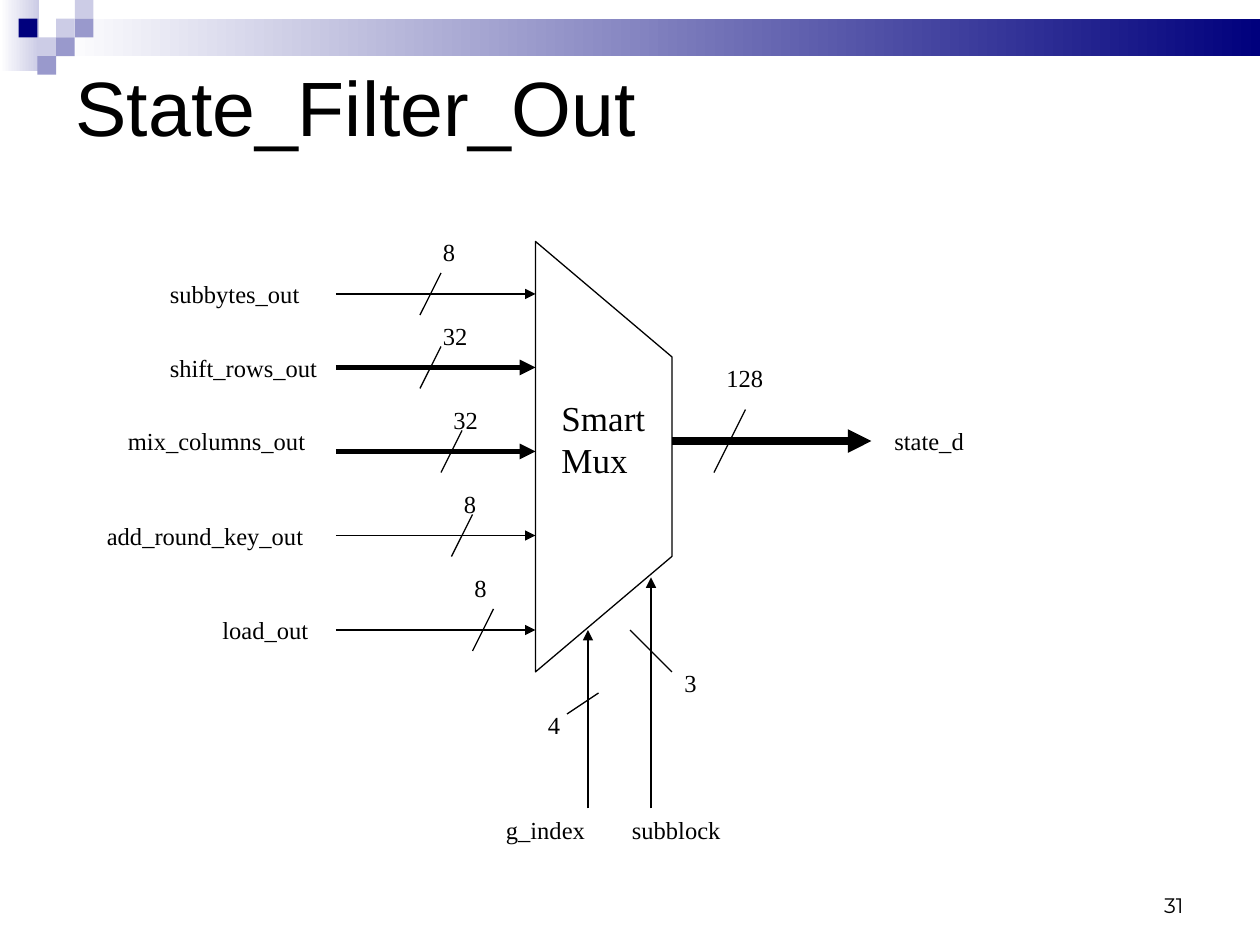
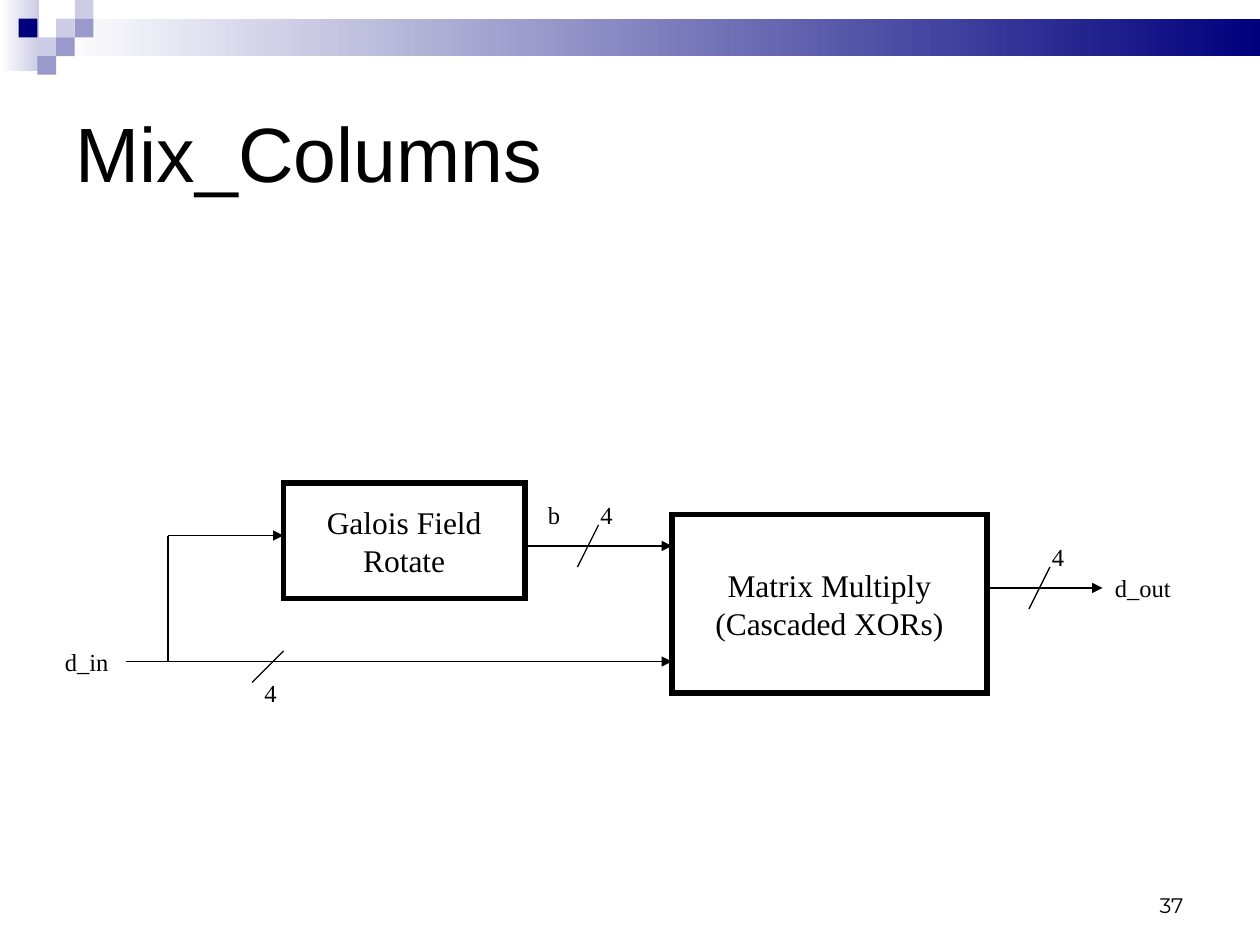
"""Build two block diagrams: the state filter mux and the mix columns datapath."""
from lxml import etree
from pptx import Presentation
from pptx import util as u
from pptx.dml.color import RGBColor
from pptx.enum import shapes, text
from pptx.oxml.ns import qn

BLACK = RGBColor(0x00, 0x00, 0x00)
WHITE = RGBColor(0xFF, 0xFF, 0xFF)
NAVY = RGBColor(0x00, 0x00, 0x7D)
LILAC = RGBColor(0x99, 0x99, 0xCC)
PALE = RGBColor(0xCC, 0xCC, 0xE6)

TITLE_FONT = "Arial"
DIAGRAM_FONT = "Times New Roman"
NUMBER_FONT = "Montserrat"

COLUMNS, ROWS = 120, 90
CELL = u.Inches(10) / COLUMNS
TILE = 1.78
THIN, THICK, HEAVY = 0.75, 3, 4.5

TILES = [(3, 1, PALE), (4, 0, PALE), (4, 1, LILAC), (2, 2, PALE),
         (1, 1, NAVY), (3, 2, LILAC), (2, 3, LILAC)]

MUX_LEFT, MUX_RIGHT = 51, 64
MUX_CORNERS = [(MUX_LEFT, 23), (MUX_RIGHT, 34), (MUX_RIGHT, 53), (MUX_LEFT, 64)]
INPUT_START, INPUT_LABEL_END = 32, 33
MUX_INPUTS = [
    ("subbytes_out", (15, 26), 28, THIN, 41, "8", (41, 22)),
    ("shift_rows_out", (15, 33), 35, THICK, 41, "32", (41, 30)),
    ("mix_columns_out", (11, 40), 43, THICK, 43, "32", (42, 38)),
    ("add_round_key_out", (9, 49), 51, THIN, 44, "8", (43, 46)),
    ("load_out", (20, 58), 60, THIN, 46, "8", (44, 54)),
]


def grid(*cells):
    """Turn grid cells into lengths."""
    return [u.Emu(round(cell * CELL)) for cell in cells]


def format_text(frame, size, font=DIAGRAM_FONT, alignment=text.PP_ALIGN.LEFT):
    """Give every paragraph of a frame one font, size and alignment."""
    for paragraph in frame.paragraphs:
        paragraph.alignment = alignment
        for run in paragraph.runs:
            run.font.name = font
            run.font.size = u.Pt(size)
            run.font.color.rgb = BLACK


def add_panel(slide, box, color, fade=False):
    """Add a borderless rectangle, optionally fading to white on its left."""
    panel = slide.shapes.add_shape(shapes.MSO_SHAPE.RECTANGLE, *grid(*box))
    panel.shadow.inherit = False
    panel.line.fill.background()
    if fade:
        panel.fill.gradient()
        panel.fill.gradient_angle = 180
        for stop, stop_color in zip(panel.fill.gradient_stops, (color, WHITE)):
            stop.color.rgb = stop_color
    else:
        panel.fill.solid()
        panel.fill.fore_color.rgb = color
    return panel


def decorate_layout(layout, slide):
    """Draw the band and tiles and move them behind everything on the layout."""
    panels = [add_panel(slide, (0, 0, 3.7, 6.8), PALE, fade=True),
              add_panel(slide, (5.4, 1.8, COLUMNS - 5.4, 3.55), NAVY, fade=True)]
    panels += [add_panel(slide, (column * TILE, row * TILE, TILE, TILE), color)
               for column, row, color in TILES]
    for index, panel in enumerate(panels):
        panel.element.xpath(".//p:cNvPr")[0].set("id", str(100 + index))
        layout.shapes.element.insert(2 + index, panel.element)


def set_title(slide, title, top):
    """Fill and place the title placeholder."""
    shape = slide.shapes.title
    shape.left, shape.top, shape.width, shape.height = grid(6, top, 108, 15)
    frame = shape.text_frame
    frame.text = title
    frame.auto_size = text.MSO_AUTO_SIZE.NONE
    frame.vertical_anchor = text.MSO_ANCHOR.MIDDLE
    frame.paragraphs[0].line_spacing = 0.71
    format_text(frame, 44, TITLE_FONT)


def add_label(slide, words, place, width=5, height=4, size=14):
    """Add a text box with its top left corner on the grid."""
    label = slide.shapes.add_textbox(*grid(*place, width, height))
    frame = label.text_frame
    frame.text = words
    frame.word_wrap = True
    frame.auto_size = text.MSO_AUTO_SIZE.SHAPE_TO_FIT_TEXT
    format_text(frame, size)
    return label


def add_page_number(slide, number):
    """Add the page number at the lower right."""
    frame = add_label(slide, number, (86, 84), 27.9).text_frame
    frame.vertical_anchor = text.MSO_ANCHOR.BOTTOM
    format_text(frame, 12, NUMBER_FONT, text.PP_ALIGN.RIGHT)


def add_line(slide, start, end, weight=THIN, arrow=False):
    """Add a straight black line, optionally with an arrowhead at its end."""
    line = slide.shapes.add_connector(
        shapes.MSO_CONNECTOR.STRAIGHT, *grid(*start, *end))
    line.line.color.rgb = BLACK
    line.line.width = u.Pt(weight)
    if arrow:
        etree.SubElement(line.get_or_add_ln(), qn("a:tailEnd"), type="triangle")
    etree.SubElement(line.element.spPr, qn("a:effectLst"))


def add_slash(slide, center, reach=(1, 2)):
    """Add the bus width stroke across a wire."""
    (x, y), (dx, dy) = center, reach
    add_line(slide, (x + dx, y - dy), (x - dx, y + dy))


def add_block(slide, words, box):
    """Add a heavy-bordered block with centred text."""
    block = slide.shapes.add_shape(shapes.MSO_SHAPE.RECTANGLE, *grid(*box))
    block.shadow.inherit = False
    block.fill.solid()
    block.fill.fore_color.rgb = WHITE
    block.line.color.rgb = BLACK
    block.line.width = u.Pt(THICK)
    etree.SubElement(block.get_or_add_ln(), qn("a:miter"), lim="800000")
    frame = block.text_frame
    frame.text = words
    frame.word_wrap = False
    frame.vertical_anchor = text.MSO_ANCHOR.MIDDLE
    format_text(frame, 18, alignment=text.PP_ALIGN.CENTER)


def add_mux(slide):
    """Add the mux outline and its name."""
    builder = slide.shapes.build_freeform(*MUX_CORNERS[0], scale=CELL)
    builder.add_line_segments(MUX_CORNERS[1:], close=True)
    mux = builder.convert_to_shape()
    mux.shadow.inherit = False
    mux.fill.background()
    mux.line.color.rgb = BLACK
    mux.line.width = u.Pt(THIN)
    add_label(slide, "Smart\nMux", (52.3, 37.2), 11.5, 9.2, size=20)


def draw_state_filter(slide):
    """Draw the mux with its inputs, output and selectors."""
    add_mux(slide)
    for name, place, row, weight, slash, bits, bits_place in MUX_INPUTS:
        add_line(slide, (INPUT_START, row), (MUX_LEFT, row), weight, arrow=True)
        add_slash(slide, (slash, row))
        add_label(slide, name, place, INPUT_LABEL_END - place[0])
        add_label(slide, bits, bits_place)

    add_line(slide, (MUX_RIGHT, 42), (83, 42), HEAVY, arrow=True)
    add_slash(slide, (69.5, 42), (1.5, 3))
    add_label(slide, "128", (68, 34), 11)
    add_label(slide, "state_d", (84, 40), 24)

    for column, tip in ((56, 60), (62, 55)):
        add_line(slide, (column, 77), (column, tip), arrow=True)
    add_slash(slide, (55.5, 67), (1.5, 1))
    add_slash(slide, (62, 62), (-2, 2))
    add_label(slide, "4", (51, 67), 4)
    add_label(slide, "3", (64, 63), 4)
    add_label(slide, "g_index", (47, 77), 15)
    add_label(slide, "subblock", (59, 77), 21)


def draw_mix_columns(slide):
    """Draw the two blocks and the buses between them."""
    add_block(slide, "Galois Field\nRotate", (27, 46, 23, 11))
    add_block(slide, "Matrix Multiply\n(Cascaded XORs)", (64, 49, 30, 17))

    add_line(slide, (16, 63), (16, 51))
    for start, end, row in ((12, 64, 63), (16, 27, 51), (50, 64, 52), (94, 105, 56)):
        add_line(slide, (start, row), (end, row), arrow=True)

    add_slash(slide, (25.5, 63.5), (1.5, 1.5))
    add_slash(slide, (56, 52))
    add_slash(slide, (99, 56))
    for place in ((24, 64), (99, 51), (56, 47)):
        add_label(slide, "4", place)
    add_label(slide, "b", (51, 47))
    add_label(slide, "d_in", (5, 61), 9)
    add_label(slide, "d_out", (105, 54), 9)


def main():
    """Build and save the presentation."""
    presentation = Presentation()
    presentation.slide_width, presentation.slide_height = grid(COLUMNS, ROWS)
    layout = presentation.slide_layouts.get_by_name("Title Only")
    pages = [("State_Filter_Out", 3.6, "31", draw_state_filter),
             ("Mix_Columns", 8, "37", draw_mix_columns)]
    for index, (title, top, number, draw) in enumerate(pages):
        slide = presentation.slides.add_slide(layout)
        if index == 0:
            decorate_layout(layout, slide)
        set_title(slide, title, top)
        draw(slide)
        add_page_number(slide, number)
    presentation.save("out.pptx")


if __name__ == "__main__":
    main()
